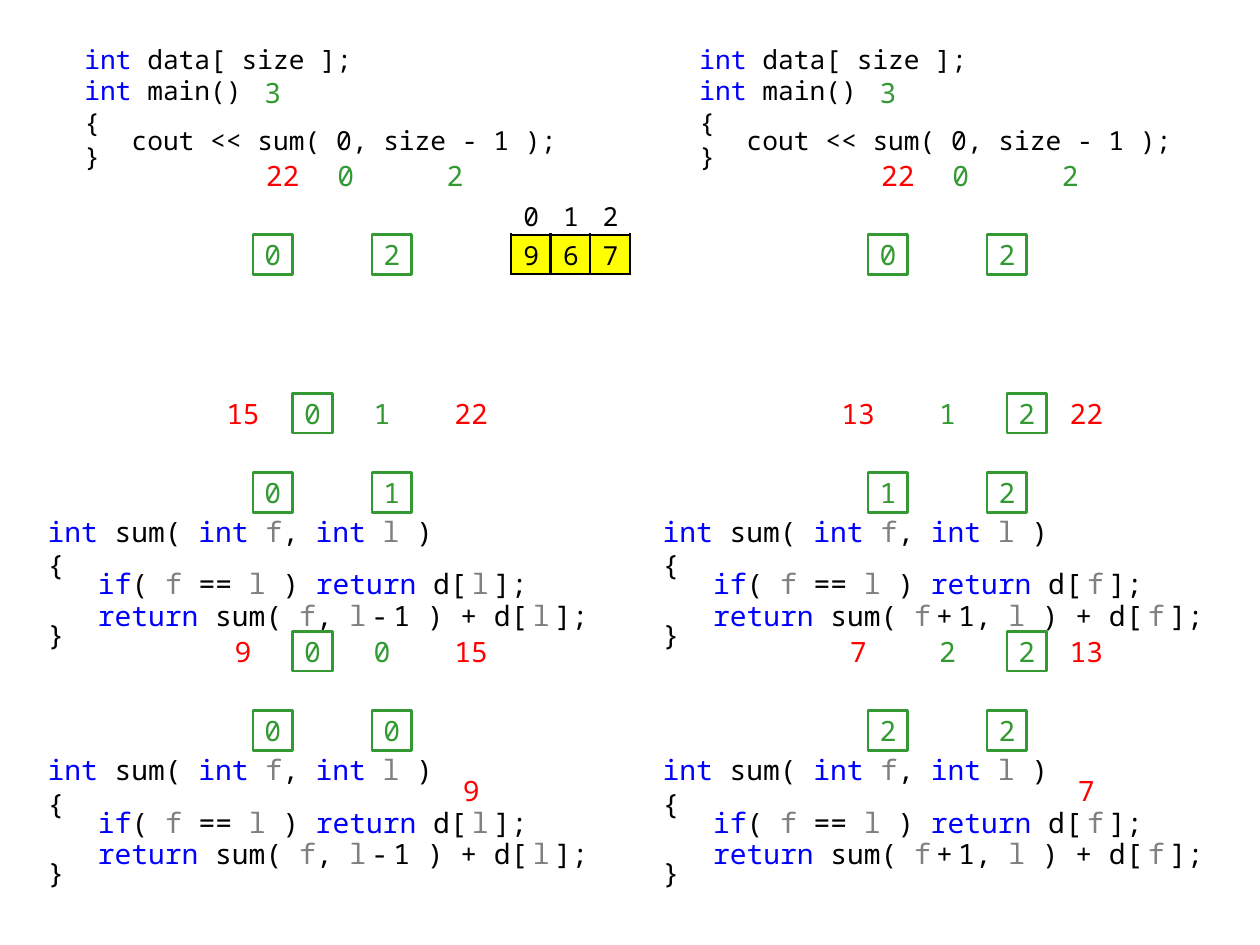
from itertools import groupby

from lxml.etree import SubElement
from pptx import Presentation
from pptx.dml.color import RGBColor as Rgb
from pptx.enum.shapes import MSO_SHAPE as Shape
from pptx.enum.text import MSO_ANCHOR as Anchor, PP_ALIGN as Align
from pptx.oxml.ns import qn
from pptx.util import Cm, Pt

FONT = "Noto Sans Mono"
COLORS = {"plain": "000000", "keyword": "0000FF", "variable": "808080",
          "argument": "339933", "result": "FF0000", "cell": "FFFF00"}
KEYWORDS = {"int", "if", "return"}
VARIABLES = {"f", "l"}

MAIN_CODE = [("int data[ size ];", 0, 1.0), ("int main()", 0, 1.0), ("{", 0, 1.0),
             ("cout << sum( 0, size - 1 );", 1, 0.5), ("}", 0, 0.5)]
SUM_CODES = [
    [("int sum( int f, int l )", 0, 1.0), ("{", 0, 1.0),
     (f"if( f == l ) return d[{index}];", 1, 0.5),
     (f"return sum( {call} ) + d[{index}];", 1, 1.0), ("}", 0, 0.5)]
    for index, call in (("l", "f, l-1"), ("f", "f+1, l"))
]
TABLE_ROWS = [("0", "1", "2"), ("9", "6", "7")]

UNIT = 0.8
SIDE_STEP = 12.4
CALL_STEP = 4.8
CALL_TOP = 10.32
PARAMETER_LEFTS = (5.1, 7.5)
PARAMETERS = [[("0", "2"), ("0", "1"), ("0", "0")],
              [("0", "2"), ("1", "2"), ("2", "2")]]
PARAMETER_TOP = 4.73

RECURSION_TOP = 7.93
RECURSIONS = [[("15", "0", "1", "22"), ("9", "0", "0", "15")],
              [("13", "2", "1", "22"), ("7", "2", "2", "13")]]
KEPT_LEFTS = (5.9, 7.9)
CHANGED_LEFTS = (7.1, 6.3)
CHANGED_WIDTHS = (1.5 * UNIT, UNIT)
BASE_RESULTS = ("9", "7")

deck = Presentation()
deck.slide_width, deck.slide_height = Cm(25.4), Cm(19.05)
page = deck.slides.add_slide(deck.slide_layouts[6])


def add_span(para, text, size=16, color="plain", spacing=0):
    span = para.add_run()
    span.text = text
    span.font.name, span.font.size = FONT, Pt(size)
    span.font.color.rgb = Rgb.from_string(COLORS[color])
    if spacing:
        span.font._element.set("spc", str(spacing * 100))


def set_insets(holder, left, top, right, bottom):
    holder.margin_left, holder.margin_top = Cm(left), Cm(top)
    holder.margin_right, holder.margin_bottom = Cm(right), Cm(bottom)


def token_format(tokens, i):
    token = tokens[i]
    before = tokens[i - 1] if i else ""
    after = tokens[i + 1] if i + 1 < len(tokens) else ""
    if token in KEYWORDS:
        return "keyword", 0
    if token in VARIABLES:
        return "variable", 3 if before == "[" or after in ("+", "-") else 0
    return "plain", 3 if token in ("[", "+", "-") else 0


def add_code(lines, left, top, width, size, insets):
    box = page.shapes.add_textbox(Cm(left), Cm(top), Cm(width), Cm(2.8))
    frame = box.text_frame
    frame.word_wrap = True
    set_insets(frame, *insets)
    for number, (line, level, line_spacing) in enumerate(lines):
        para = frame.add_paragraph() if number else frame.paragraphs[0]
        para.line_spacing = line_spacing
        if level:
            para._p.get_or_add_pPr().set("marL", str(Pt(size * 1.8)))
        tokens = ["".join(part) for _, part in groupby(line, str.isalnum)]
        formats = [token_format(tokens, i) for i in range(len(tokens))]
        for (color, spacing), group in groupby(zip(formats, tokens), lambda pair: pair[0]):
            text = "".join(token for _, token in group)
            add_span(para, text, size=size, color=color, spacing=spacing)


def add_number(text, left, top, width=UNIT, color="argument", framed=False,
               align=Align.CENTER, anchor=Anchor.MIDDLE, insets=(0, 0, 0, 0)):
    place = Cm(left), Cm(top), Cm(width), Cm(UNIT)
    if framed:
        box = page.shapes.add_shape(Shape.RECTANGLE, *place)
        box.shadow.inherit = False
        box.fill.background()
        box.line.color.rgb = Rgb.from_string(COLORS[color])
        box.line.width = Pt(1.5)
    else:
        box = page.shapes.add_textbox(*place)
    frame = box.text_frame
    frame.word_wrap = False
    frame.vertical_anchor = anchor
    set_insets(frame, *insets)
    frame.paragraphs[0].alignment = align
    add_span(frame.paragraphs[0], text, color=color)


def add_border(cell, edge, visible):
    line = SubElement(cell._tc.get_or_add_tcPr(), qn(f"a:{edge}"), w=str(Pt(1.5)))
    if visible:
        fill = SubElement(line, qn("a:solidFill"))
        SubElement(fill, qn("a:srgbClr"), val=COLORS["plain"])
    else:
        SubElement(line, qn("a:noFill"))


def add_data_table(left, top):
    rows, columns = len(TABLE_ROWS), len(TABLE_ROWS[0])
    table = page.shapes.add_table(rows, columns, Cm(left), Cm(top),
                                  Cm(columns * UNIT), Cm(rows * UNIT)).table
    table.first_row = table.horz_banding = False
    for column in table.columns:
        column.width = Cm(UNIT)
    for r, values in enumerate(TABLE_ROWS):
        table.rows[r].height = Cm(UNIT)
        for c, value in enumerate(values):
            cell = table.cell(r, c)
            set_insets(cell, 0.25, 0.05, 0.25, 0)
            cell.vertical_anchor = Anchor.MIDDLE
            add_span(cell.text_frame.paragraphs[0], value, size=15)
            for edge in ("lnL", "lnR", "lnT", "lnB"):
                add_border(cell, edge, r == 1 or edge == "lnB")
            if r == 1:
                cell.fill.solid()
                cell.fill.fore_color.rgb = Rgb.from_string(COLORS["cell"])
            else:
                cell.fill.background()


for side, sum_code in enumerate(SUM_CODES):
    shift = side * SIDE_STEP
    add_code(MAIN_CODE, 1.5 + shift, 0.74, 10, 15, (0.2, 0.13, 0.2, 0.13))
    for call in range(2):
        add_code(sum_code, 0.71 + shift, CALL_TOP + call * CALL_STEP, 11.61, 16,
                 (0.25, 0.05, 0.1, 0.13))

    add_number("3", 5.1 + shift, 1.53, anchor=Anchor.TOP)
    add_number("22", 5.1 + shift, 3.13, width=1.5 * UNIT, color="result")
    add_number("0", 6.7 + shift, 3.13, align=Align.LEFT, insets=(0.1, 0, 0.25, 0))
    add_number("2", 8.7 + shift, 3.13, insets=(0.25, 0, 0.1, 0))

    for call, values in enumerate(PARAMETERS[side]):
        for left, value in zip(PARAMETER_LEFTS, values):
            add_number(value, left + shift, PARAMETER_TOP + call * CALL_STEP, framed=True)

    for call, (inner, kept, changed, total) in enumerate(RECURSIONS[side]):
        top = RECURSION_TOP + call * CALL_STEP
        add_number(inner, 4.3 + shift, top, width=1.5 * UNIT, color="result")
        add_number(kept, KEPT_LEFTS[side] + shift, top, framed=True)
        add_number(changed, CHANGED_LEFTS[side] + shift, top, width=CHANGED_WIDTHS[side])
        add_number(total, 9.1 + shift, top, color="result")
    add_number(BASE_RESULTS[side], 9.1 + shift, 15.53, color="result")

add_data_table(10.3, 3.93)
deck.save("out.pptx")
